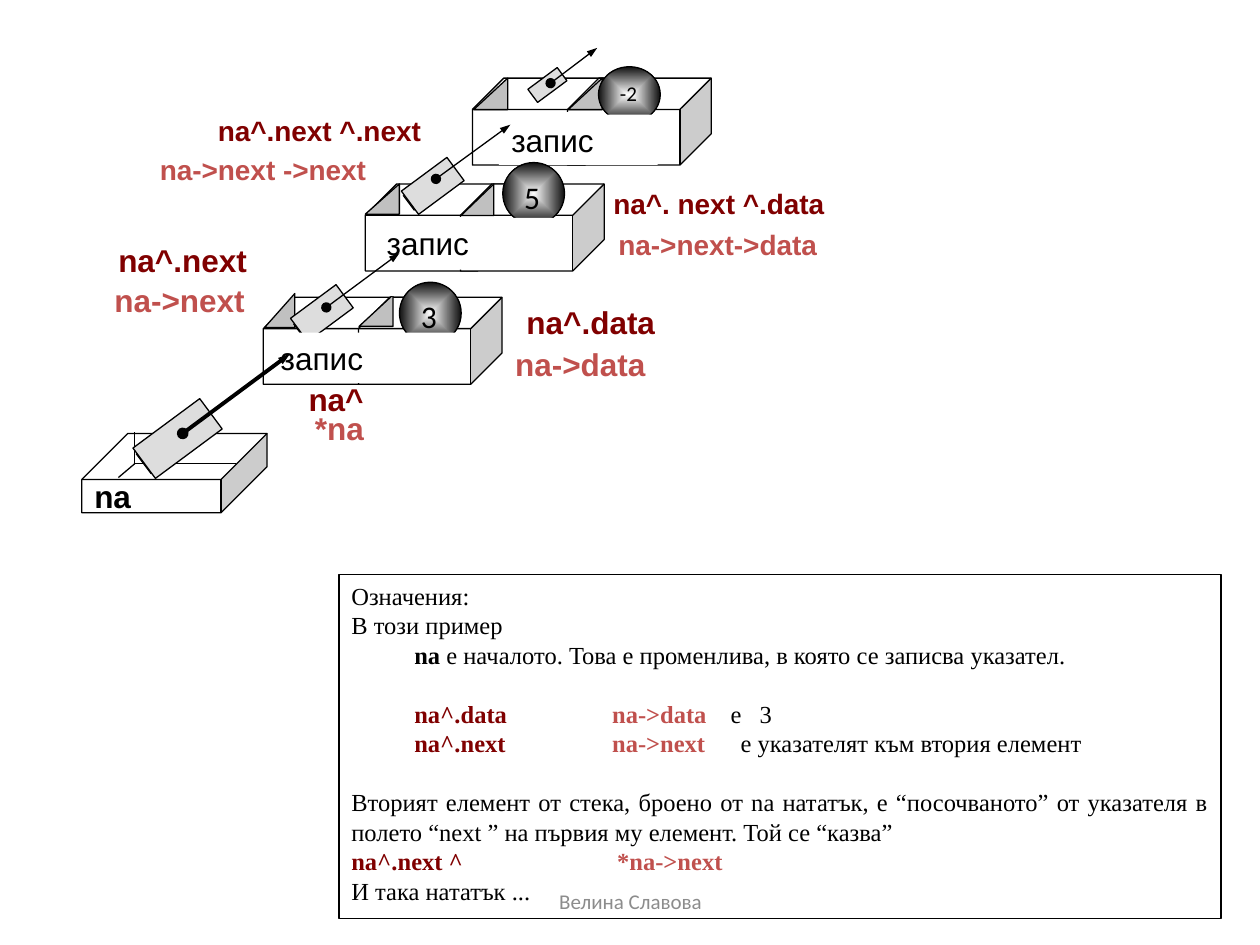
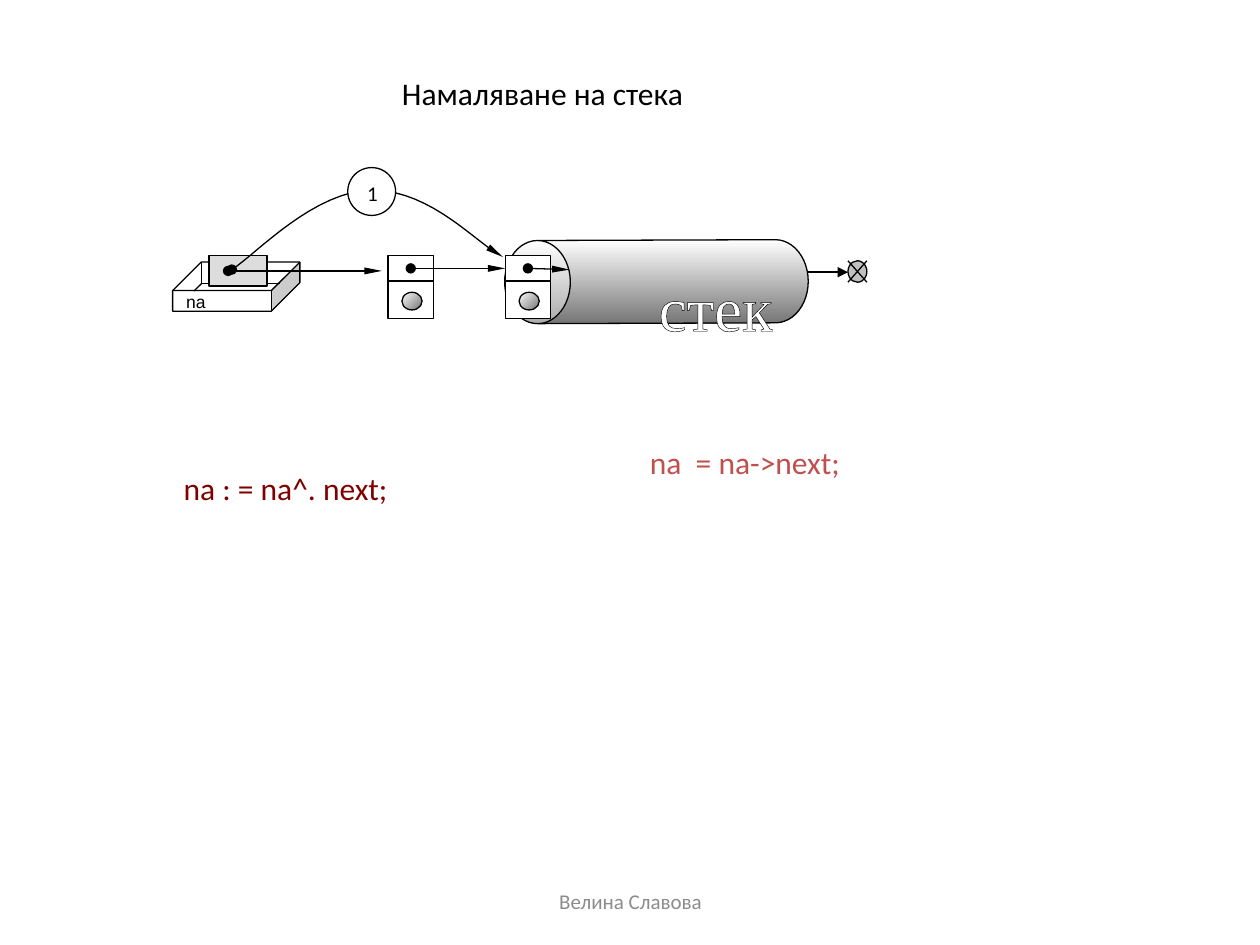
"""Build two slides on a linked stack: naming its fields and taking off its top."""
import pptx
import pptx.dml.color
import pptx.enum.shapes
import pptx.enum.text
import pptx.oxml.ns
import pptx.util
from lxml import etree

Inches = pptx.util.Inches
Pt = pptx.util.Pt
RGB = pptx.dml.color.RGBColor.from_string
Shape = pptx.enum.shapes.MSO_SHAPE
Align = pptx.enum.text.PP_ALIGN
Anchor = pptx.enum.text.MSO_ANCHOR
qn = pptx.oxml.ns.qn


class Theme:
    black, white, wedge, card = "000000", "FFFFFF", "C0C0C0", "DDDDDD"
    pascal, cpp, muted = "800000", "C0504D", "8C8C8C"
    globe = ("FFFFFF", "101010", None)
    tube = ("FFFFFF", "767676", 90)
    bead = ("FFFFFF", "767676", 45)
    sans, body, serif = "Arial", "Calibri", "Times New Roman"
    tiny, small, note, code, large, huge = 10, 12, 14, 16, 18, 36
    thin, mid, thick = 0.75, 1.5, 2.25
    tilt = -36.5


def draw(slide, kind, at, fill=None, line=None, text="", size=Theme.large,
         font=Theme.sans, color=Theme.black, bold=False, adj=None, turn=0):
    """Add a preset shape, or a text box when kind is None."""
    place = [Inches(n) for n in at]
    if kind is None:
        shape = slide.shapes.add_textbox(*place)
    else:
        shape = slide.shapes.add_shape(kind, *place)
        shape.shadow.inherit = False
    shape.rotation = turn
    if adj:
        shape.adjustments[0] = adj
    if isinstance(fill, tuple):
        shape.fill.gradient()
        for stop, tone in zip(shape.fill.gradient_stops, fill):
            stop.color.rgb = RGB(tone)
        grad = shape.element.spPr.find(qn("a:gradFill"))
        grad.set("rotWithShape", "0")
        grad.remove(grad.find(qn("a:lin")))
        if fill[2] is None:
            way = etree.SubElement(grad, qn("a:path"), path="shape")
            etree.SubElement(way, qn("a:fillToRect"), l="50000", t="50000", r="50000", b="50000")
        else:
            etree.SubElement(grad, qn("a:lin"), ang=str(fill[2] * 60000), scaled="1")
    elif fill:
        shape.fill.solid()
        shape.fill.fore_color.rgb = RGB(fill)
    if line:
        shape.line.color.rgb = RGB(line)
        shape.line.width = Pt(Theme.thin)
    else:
        shape.line.fill.background()
    frame = shape.text_frame
    frame.word_wrap = True
    frame.vertical_anchor = Anchor.TOP
    para = frame.paragraphs[0]
    para.alignment = Align.LEFT
    if text:
        para.text = text
        para.font.size, para.font.name, para.font.bold = Pt(size), font, bold
        para.font.color.rgb = RGB(color)
    return shape


def trace(slide, points, fill=None, color=Theme.black, width=Theme.thin, arrow=None):
    """Add a connector for two points, else a freeform; arrow is the head length."""
    spots = [(Inches(x), Inches(y)) for x, y in points]
    if len(spots) == 2:
        shape = slide.shapes.add_connector(
            pptx.enum.shapes.MSO_CONNECTOR.STRAIGHT, *spots[0], *spots[1])
    else:
        pen = slide.shapes.build_freeform(*spots[0])
        pen.add_line_segments(spots[1:], close=bool(fill))
        shape = pen.convert_to_shape()
        if fill:
            shape.fill.solid()
            shape.fill.fore_color.rgb = RGB(fill)
        else:
            shape.fill.background()
    shape.line.color.rgb = RGB(color)
    shape.line.width = Pt(width)
    prop = shape.element.spPr
    if arrow:
        edge = prop.find(qn("a:ln"))
        etree.SubElement(edge, qn("a:headEnd"), type="oval")
        etree.SubElement(edge, qn("a:tailEnd"), type="triangle", w="sm", len=arrow)
    etree.SubElement(prop, qn("a:effectLst"))
    return shape


deck = pptx.Presentation()
deck.slide_width, deck.slide_height = Inches(10), Inches(7.5)
names = deck.slides.add_slide(deck.slide_layouts[6])
shrink = deck.slides.add_slide(deck.slide_layouts[5])

nodes = [
    dict(cube=(3.75, 0.62), wedges=[(3.76, 0.62, 0.27, 0.25), (4.51, 0.62, 0.27, 0.25)],
         mask=[(4.34, 0.9), (4.78, 0.9)], edge=[(4.26, 0.78), (4.21, 0.72)],
         card=(4.2, 0.61, 0.29, 0.13), arrow=[(4.37, 0.66), (4.74, 0.38)],
         ball=(4.75, 0.53, 0.49, 0.44), value="-2", size=Theme.small,
         label=(3.96, 0.91, 1.26, 0.4)),
    dict(cube=(2.9, 1.46), wedges=[(2.9, 1.46, 0.27, 0.24), (3.66, 1.46, 0.26, 0.25)],
         mask=[(3.48, 1.73), (3.89, 1.74)], edge=[(3.29, 1.67), (3.2, 1.55)],
         card=(3.21, 1.36, 0.45, 0.23), arrow=[(3.46, 1.42), (4.05, 0.99)],
         ball=(3.99, 1.29, 0.49, 0.49), value="5", size=Theme.large,
         label=(2.97, 1.73, 1.57, 0.41)),
    dict(cube=(2.09, 2.36), wedges=[(2.1, 2.33, 0.24, 0.27), (2.85, 2.34, 0.27, 0.25)],
         mask=[(3.15, 2.34), (2.86, 2.34)], edge=[(2.42, 2.69), (2.33, 2.57)],
         card=(2.33, 2.37, 0.45, 0.23), arrow=[(2.59, 2.44), (3.17, 2.01)],
         ball=(3.17, 2.24, 0.49, 0.49), value="3", size=Theme.large,
         label=(2.13, 2.64, 1.57, 0.4)),
]
for node in nodes:
    left, top = node["cube"]
    for step, (x, y, w, h) in enumerate(node["wedges"]):
        draw(names, Shape.CUBE, (left + 0.755 * step, top, 1.14, 0.69),
             Theme.white, Theme.black, adj=0.36)
        trace(names, [(x, y + h), (x + w, y + h), (x + w, y)], Theme.wedge)
    trace(names, node["mask"], color=Theme.white, width=Theme.mid)
    trace(names, node["edge"])
    draw(names, Shape.RECTANGLE, node["card"], Theme.card, Theme.black, turn=Theme.tilt)
    trace(names, node["arrow"], arrow="med")
    draw(names, Shape.OVAL, node["ball"], Theme.globe, Theme.black,
         node["value"], node["size"], Theme.body)
    draw(names, Shape.RECTANGLE, node["label"], Theme.white, text="запис")

draw(names, Shape.CUBE, (0.65, 3.44, 1.47, 0.63), Theme.white, Theme.black, adj=0.58)
for end in ((1.07, 3.43), (1.87, 3.68), (0.94, 3.79)):
    trace(names, [end, (1.07, 3.68)])
draw(names, None, (0.65, 3.74, 1.07, 0.24), text="na", bold=True)
trace(names, [(1.2, 3.76), (1.08, 3.6)])
draw(names, Shape.RECTANGLE, (1.08, 3.33, 0.66, 0.3), Theme.card, Theme.black, turn=Theme.tilt)
trace(names, [(1.45, 3.44), (2.3, 2.81)], width=Theme.thick, arrow="med")

for text, at, size, color in [
    ("na^.data", (4.08, 2.36, 1.68, 0.44), Theme.large, Theme.pascal),
    ("na->data", (3.99, 2.69, 1.68, 0.44), Theme.large, Theme.cpp),
    ("na^.next", (0.84, 1.86, 1.68, 0.41), Theme.large, Theme.pascal),
    ("na->next", (0.81, 2.18, 1.68, 0.41), Theme.large, Theme.cpp),
    ("na^", (2.35, 2.97, 1.51, 0.37), Theme.large, Theme.pascal),
    ("*na", (2.4, 3.2, 1.51, 0.37), Theme.large, Theme.cpp),
    ("na^.next ^.next", (1.63, 0.85, 2.02, 0.41), Theme.code, Theme.pascal),
    ("na->next ->next", (1.17, 1.16, 2.13, 0.41), Theme.code, Theme.cpp),
    ("na^. next ^.data", (4.77, 1.43, 2.14, 0.44), Theme.code, Theme.pascal),
    ("na->next->data", (4.81, 1.76, 2.06, 0.44), Theme.code, Theme.cpp),
]:
    draw(names, None, at, text=text, size=size, color=color, bold=True)

notes = [
    ([("Означения:", None)], 0, []),
    ([("В този пример", None)], 0, []),
    ([("\tna", Theme.black),
      (" е началото. Това е променлива, в която се записва указател.", None)], 0, [0.5]),
    ([("\tna^.data", Theme.pascal), ("\tna->data", Theme.cpp), ("\tе\t3", None)],
     17, [0.5, 2.07, 3.01, 3.24]),
    ([("\tna^.next", Theme.pascal), ("\tna->next", Theme.cpp),
      ("\tе указателят към втория елемент", None)], 0, [0.5, 2.07, 3.09]),
    ([("Вторият елемент от стека, броено от na нататък, е “посочваното” от указателя "
       "в полето “next ” на първия му елемент. Той се “казва”", None)], 17, []),
    ([("na^.next ^", Theme.pascal), ("\t*na->next", Theme.cpp)], 0, [2.11]),
    ([("И така нататък ...", None)], 0, []),
]
frame = draw(names, Shape.RECTANGLE, (2.69, 4.56, 7, 2.73), Theme.white, Theme.black).text_frame
for row, (parts, gap, stops) in enumerate(notes):
    para = frame.add_paragraph() if row else frame.paragraphs[0]
    para.alignment = Align.JUSTIFY if row > 4 else Align.LEFT
    para.space_before = Pt(gap)
    if stops:
        tabs = etree.SubElement(para._p.get_or_add_pPr(), qn("a:tabLst"))
        for stop in stops:
            etree.SubElement(tabs, qn("a:tab"), pos=str(Inches(stop)), algn="l")
    para.font.size, para.font.name = Pt(Theme.note), Theme.serif
    para.font.color.rgb = RGB(Theme.black)
    for text, tone in parts:
        run = para.add_run()
        run.text = text
        if tone:
            run.font.bold = True
            run.font.color.rgb = RGB(tone)

title = shrink.shapes.title
title.left, title.top, title.width, title.height = [Inches(n) for n in (3.09, 0.55, 2.49, 0.37)]
title.text_frame.word_wrap = False
title.text_frame.vertical_anchor = Anchor.MIDDLE
para = title.text_frame.paragraphs[0]
para.text, para.alignment = "Намаляване на стека", Align.LEFT
para.font.size, para.font.name = Pt(Theme.large), Theme.body
para.font.color.rgb = RGB(Theme.black)

draw(shrink, Shape.CUBE, (1.37, 2.08, 1.01, 0.39), Theme.white, Theme.black, adj=0.58)
for end in ((2.22, 2.25), (1.54, 2.31), (1.6, 2.08)):
    trace(shrink, [end, (1.6, 2.25)])
draw(shrink, Shape.RECTANGLE, (1.66, 2.03, 0.46, 0.24), Theme.card, Theme.black)
draw(shrink, None, (1.38, 2.26, 0.74, 0.34), text="na", size=Theme.tiny)

tail = trace(shrink, [(6.35, 2.16), (6.73, 2.16)], arrow="med")
ends = tail.element.spPr.find(qn("a:ln"))
ends.find(qn("a:headEnd")).set("type", "none")
ends.find(qn("a:tailEnd")).set("w", "med")
draw(shrink, Shape.OVAL, (6.73, 2.07, 0.15, 0.17), Theme.wedge, Theme.black)
trace(shrink, [(6.73, 2.07), (6.88, 2.24)])
trace(shrink, [(6.73, 2.24), (6.88, 2.07)])

draw(shrink, Shape.CAN, (4.88, 1.03, 0.66, 2.41), Theme.tube, Theme.black, adj=0.79, turn=269.8)
stack = draw(shrink, None, (5.13, 2.08, 1.3, 0.33), text="стек", size=Theme.huge,
             font=Theme.serif, color=Theme.white)
look = stack.text_frame.paragraphs[0].runs[0]._r.get_or_add_rPr()
rim = etree.SubElement(look, qn("a:ln"), w=str(Pt(Theme.thin)))
etree.SubElement(etree.SubElement(rim, qn("a:solidFill")), qn("a:srgbClr"), val=Theme.black)

heads = []
for x in (3.08, 4.01):
    draw(shrink, Shape.RECTANGLE, (x, 2.23, 0.36, 0.3), Theme.white, Theme.black)
    heads.append(draw(shrink, Shape.RECTANGLE, (x, 2.03, 0.36, 0.2), Theme.white, Theme.black))
    draw(shrink, Shape.OVAL, (x + 0.11, 2.32, 0.16, 0.14), Theme.bead, Theme.black)
link = trace(shrink, [(3.26, 2.13), (4.01, 2.13)], arrow="lg")
link.end_connect(heads[1], 1)
trace(shrink, [(4.19, 2.13), (4.52, 2.14)], arrow="lg")
trace(shrink, [(1.81, 2.15), (3.03, 2.15)], arrow="lg")

curve = [(1.84, 2.14)]
for bend in ([(1.84, 2.14), (2.02, 2.03), (2.5, 1.5), (2.97, 1.51)],
             [(2.97, 1.51), (3.43, 1.52), (3.78, 1.93), (3.99, 2.04)]):
    for step in range(1, 17):
        t = step / 16
        mix = ((1 - t) ** 3, 3 * t * (1 - t) ** 2, 3 * t * t * (1 - t), t ** 3)
        curve.append(tuple(sum(m * p[axis] for m, p in zip(mix, bend)) for axis in (0, 1)))
trace(shrink, curve, arrow="lg")
draw(shrink, Shape.OVAL, (2.76, 1.33, 0.38, 0.38), Theme.white, Theme.black,
     "1", Theme.small, Theme.body)
draw(shrink, None, (5.06, 3.47, 2.28, 0.37), text="na  = na->next;",
     font=Theme.body, color=Theme.cpp)
draw(shrink, None, (1.36, 3.67, 1.9, 0.37), text="na : = na^. next;",
     font=Theme.body, color=Theme.pascal)

for slide in (names, shrink):
    foot = draw(slide, None, (3.42, 6.95, 3.17, 0.4), text="Велина Славова",
                size=Theme.small, font=Theme.body, color=Theme.muted).text_frame
    foot.vertical_anchor = Anchor.MIDDLE
    foot.paragraphs[0].alignment = Align.CENTER

deck.save("out.pptx")
